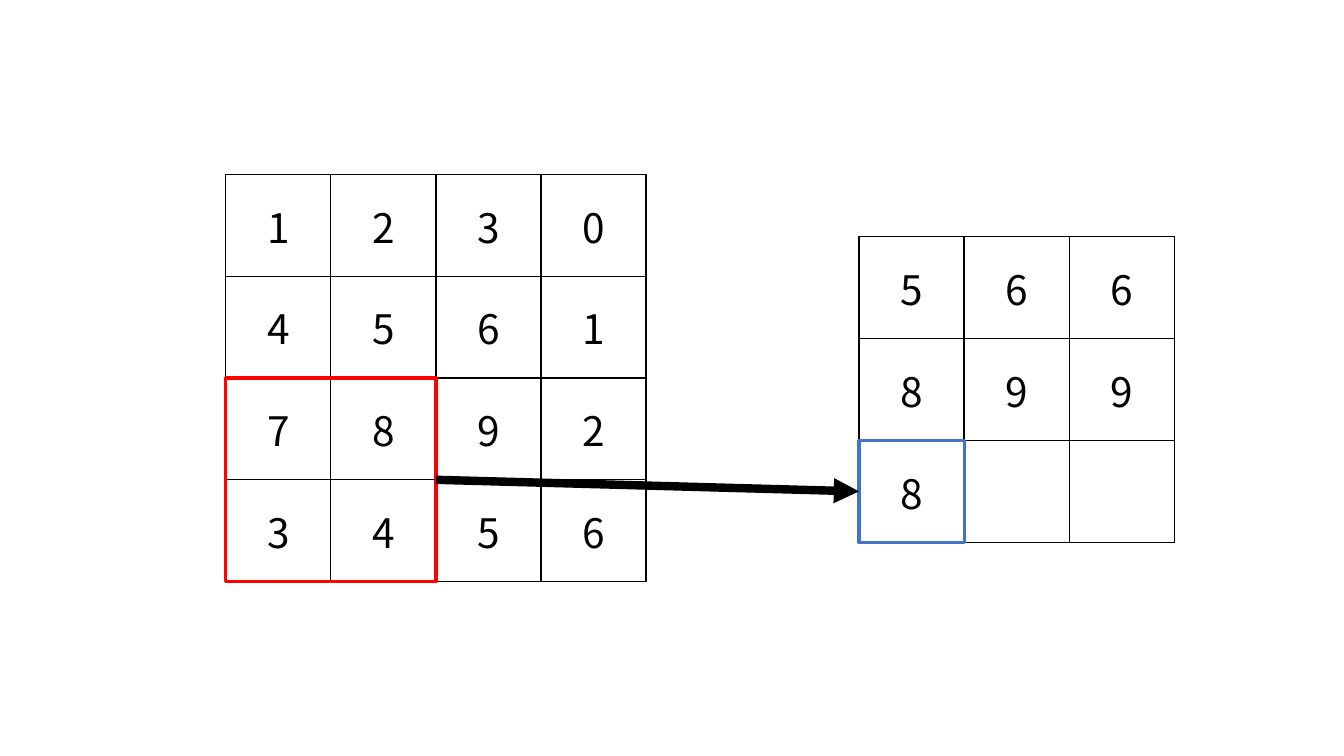
from dataclasses import dataclass

from lxml import etree
from pptx import Presentation
from pptx.dml.color import RGBColor
from pptx.enum.shapes import MSO_CONNECTOR, MSO_SHAPE
from pptx.enum.text import MSO_ANCHOR, PP_ALIGN
from pptx.oxml.ns import qn
from pptx.util import Inches, Pt

RECT = MSO_SHAPE.RECTANGLE
STRAIGHT = MSO_CONNECTOR.STRAIGHT
CENTER = PP_ALIGN.CENTER
MIDDLE = MSO_ANCHOR.MIDDLE
LEFT_SIDE, RIGHT_SIDE = 1, 3


@dataclass(frozen=True)
class Theme:
    font: str = "Noto Sans CJK SC"
    size: float = 29
    ink: str = "000000"
    window: str = "FF0000"
    result: str = "4472C4"
    grid_pt: float = 1
    frame_pt: float = 2.25
    arrow_pt: float = 6


THEME = Theme()

# Grid: cell size and the top-left corner of each matrix
COL, ROW = 1.042, 1.01
INPUT_AT = (2.24, 1.73)
OUTPUT_AT = (8.52, 2.35)

INPUT = ["1230", "4561", "7892", "3456"]
OUTPUT = ["566", "899", "8  "]


def border_cell(cell):
    """Draw the four borders of a cell, ahead of its fill."""
    tc_pr = cell._tc.get_or_add_tcPr()
    for i, side in enumerate(("a:lnL", "a:lnR", "a:lnT", "a:lnB")):
        ln = etree.Element(qn(side), w=str(Pt(THEME.grid_pt)))
        fill = etree.SubElement(ln, qn("a:solidFill"))
        etree.SubElement(fill, qn("a:srgbClr"), val=THEME.ink)
        tc_pr.insert(i, ln)


def fill_cell(cell, text):
    cell.fill.background()
    border_cell(cell)
    cell.vertical_anchor = MIDDLE
    cell.margin_left = cell.margin_right = Inches(0.16)
    cell.margin_top = cell.margin_bottom = Inches(0.08)
    if not text.strip():
        return
    p = cell.text_frame.paragraphs[0]
    p.alignment = CENTER
    r = p.add_run()
    r.text = text
    r.font.name = THEME.font
    r.font.size = Pt(THEME.size)
    r.font.color.rgb = RGBColor.from_string(THEME.ink)


def add_matrix(s, at, rows):
    n_rows, n_cols = len(rows), len(rows[0])
    table = s.shapes.add_table(n_rows, n_cols, Inches(at[0]), Inches(at[1]),
                               Inches(n_cols * COL), Inches(n_rows * ROW)).table
    table.first_row = table.horz_banding = False
    for i, values in enumerate(rows):
        for j, value in enumerate(values):
            fill_cell(table.cell(i, j), value)


def add_frame(s, at, row, col, span, color):
    """Outline a square block of matrix cells."""
    sp = s.shapes.add_shape(RECT, Inches(at[0] + col * COL), Inches(at[1] + row * ROW),
                            Inches(span * COL), Inches(span * ROW))
    sp.shadow.inherit = False
    sp.fill.background()
    sp.line.color.rgb = RGBColor.from_string(color)
    sp.line.width = Pt(THEME.frame_pt)
    return sp


def add_arrow(s, start, end):
    arrow = s.shapes.add_connector(STRAIGHT, 0, 0, 0, 0)
    arrow.begin_connect(start, RIGHT_SIDE)
    arrow.end_connect(end, LEFT_SIDE)
    arrow.line.color.rgb = RGBColor.from_string(THEME.ink)
    arrow.line.width = Pt(THEME.arrow_pt)
    etree.SubElement(arrow.line._get_or_add_ln(), qn("a:tailEnd"), type="triangle")
    etree.SubElement(arrow._element.spPr, qn("a:effectLst"))


def main():
    prs = Presentation()
    prs.slide_width, prs.slide_height = Inches(13.33), Inches(7.5)
    s = prs.slides.add_slide(prs.slide_layouts[6])

    # Input and output matrices
    add_matrix(s, INPUT_AT, INPUT)
    add_matrix(s, OUTPUT_AT, OUTPUT)

    # Pooling window and the value it yields
    window = add_frame(s, INPUT_AT, 2, 0, 2, THEME.window)
    result = add_frame(s, OUTPUT_AT, 2, 0, 1, THEME.result)
    add_arrow(s, window, result)

    prs.save("out.pptx")


if __name__ == "__main__":
    main()
